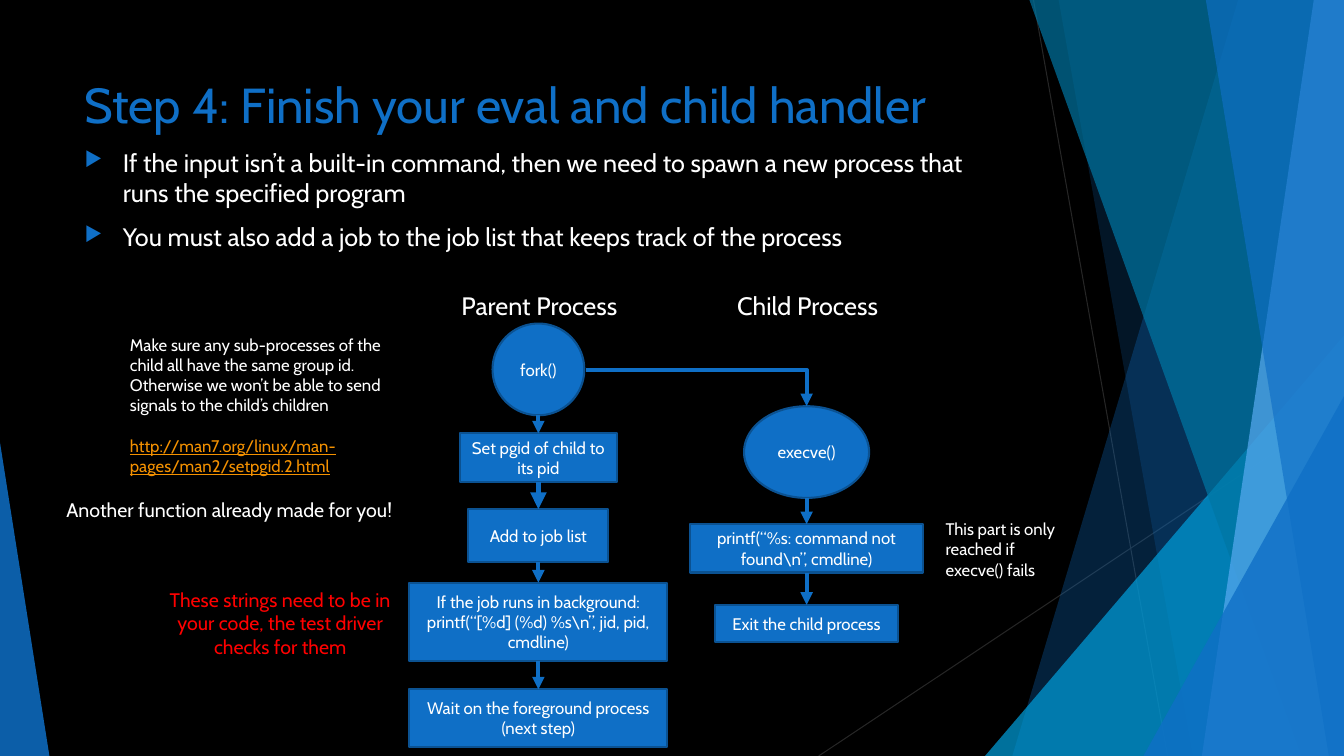
import dataclasses

import pptx
import pptx.dml.color
import pptx.enum.shapes
import pptx.enum.text
import pptx.oxml.ns
import pptx.util
from lxml import etree
from pptx.util import Inches

SHAPES = pptx.enum.shapes.MSO_SHAPE
CONNECTORS = pptx.enum.shapes.MSO_CONNECTOR
ALIGN = pptx.enum.text.PP_ALIGN
ANCHOR = pptx.enum.text.MSO_ANCHOR
WIDTH, HEIGHT = 13.33, 7.5
PARENT_X, CHILD_X = 5.34, 8.0


@dataclasses.dataclass(frozen=True)
class Theme:
    font: str = "Cabin"
    background: str = "000000"
    text: str = "FFFFFF"
    blue: str = "0F6FC6"
    outline: str = "0B5292"
    sky: str = "59AAF2"
    cyan: str = "009DD9"
    teal: str = "0076A3"
    hairline: str = "262626"
    link: str = "F49100"
    warning: str = "FF0000"
    title_size: float = 35.1
    body_size: float = 18
    remark_size: float = 14
    small_size: float = 12


THEME = Theme()

# Flowchart steps: text, shape, top, width, height
PARENT_STEPS = [
    ("fork()", SHAPES.OVAL, 3.21, 0.91, 0.91),
    ("Set pgid of child to its pid", SHAPES.RECTANGLE, 4.3, 1.56, 0.48),
    ("Add to job list", SHAPES.RECTANGLE, 5.05, 1.39, 0.53),
    ("If the job runs in background: printf(“[%d] (%d) %s\\n”, jid, pid, cmdline)",
     SHAPES.RECTANGLE, 5.78, 2.56, 0.78),
    ("Wait on the foreground process (next step)", SHAPES.RECTANGLE, 6.84, 2.56, 0.57),
]
CHILD_STEPS = [
    ("execve()", SHAPES.OVAL, 4.03, 1.24, 0.91),
    ("printf(“%s: command not found\\n”, cmdline)", SHAPES.RECTANGLE, 5.2, 2.31, 0.48),
    ("Exit the child process", SHAPES.RECTANGLE, 6.0, 1.82, 0.37),
]


def rgb(color):
    return pptx.dml.color.RGBColor.from_string(color)


def add_element(parent, tag, **attributes):
    return etree.SubElement(parent, pptx.oxml.ns.qn(tag), attributes)


def write_text(frame, text, size=THEME.small_size, color=THEME.text, align=ALIGN.LEFT,
               anchor=ANCHOR.TOP, bullet=False, underline=None, before=0):
    """Fill the frame's empty first paragraph, or append a new one."""
    frame.word_wrap = True
    frame.vertical_anchor = anchor
    paragraph = frame.paragraphs[0]
    if paragraph.runs:
        paragraph = frame.add_paragraph()
        paragraph.space_before = pptx.util.Pt(before)
    if bullet:
        properties = paragraph._p.get_or_add_pPr()
        properties.set("marL", str(Inches(0.38)))
        properties.set("indent", str(Inches(-0.38)))
        add_element(add_element(properties, "a:buClr"), "a:srgbClr", val=THEME.blue)
        add_element(properties, "a:buSzPct", val="80000")
        add_element(properties, "a:buChar", char="▶")
    paragraph.alignment = align
    run = paragraph.add_run()
    run.text = text
    run.font.name = THEME.font
    run.font.size = pptx.util.Pt(size)
    run.font.color.rgb = rgb(color)
    run.font.underline = underline


def add_text(slide, box, text, **text_format):
    frame = slide.shapes.add_textbox(*map(Inches, box)).text_frame
    write_text(frame, text, **text_format)
    return frame


def fill_facet(facet, color, opacity):
    facet.shadow.inherit = False
    facet.fill.solid()
    facet.fill.fore_color.rgb = rgb(color)
    facet.line.fill.background()
    color_node = facet._element.spPr.find(".//" + pptx.oxml.ns.qn("a:srgbClr"))
    add_element(color_node, "a:alpha", val=str(opacity * 1000))


def add_band(slide, top_x, bottom_x, color, opacity):
    """Band from a slanted left edge to the right edge of the slide."""
    builder = slide.shapes.build_freeform(Inches(top_x), 0)
    corners = [(WIDTH, 0), (WIDTH, HEIGHT), (bottom_x, HEIGHT)]
    builder.add_line_segments([(Inches(x), Inches(y)) for x, y in corners])
    fill_facet(builder.convert_to_shape(), color, opacity)


def add_corner(slide, left, top, width, tip, color, opacity):
    """Triangle that stands on the bottom edge of the slide."""
    box = map(Inches, (left, top, width, HEIGHT - top))
    corner = slide.shapes.add_shape(SHAPES.ISOSCELES_TRIANGLE, *box)
    corner.adjustments[0] = tip
    fill_facet(corner, color, opacity)


def add_line(slide, start, end, color=THEME.blue, weight=3, kind=CONNECTORS.STRAIGHT, arrow=True):
    line = slide.shapes.add_connector(kind, *map(Inches, (*start, *end)))
    line.line.color.rgb = rgb(color)
    line.line.width = pptx.util.Pt(weight)
    properties = line._element.spPr
    if arrow:
        add_element(line.line._get_or_add_ln(), "a:tailEnd", type="triangle")
    if kind == CONNECTORS.ELBOW:
        properties.find(pptx.oxml.ns.qn("a:prstGeom")).set("prst", "bentConnector2")
    add_element(properties, "a:effectLst")


def add_step(slide, center_x, text, kind, top, width, height):
    box = map(Inches, (center_x - width / 2, top, width, height))
    step = slide.shapes.add_shape(kind, *box)
    step.shadow.inherit = False
    step.fill.solid()
    step.fill.fore_color.rgb = rgb(THEME.blue)
    step.line.color.rgb = rgb(THEME.outline)
    step.line.width = pptx.util.Pt(1.5)
    write_text(step.text_frame, text, align=ALIGN.CENTER, anchor=ANCHOR.MIDDLE)


def add_process(slide, heading, center_x, steps, heading_x, heavy_arrow=None):
    add_text(slide, (heading_x - 1.02, 2.83, 2.04, 0.4), heading,
             size=THEME.body_size, align=ALIGN.CENTER)
    for step in steps:
        add_step(slide, center_x, *step)
    for index, (upper, lower) in enumerate(zip(steps, steps[1:])):
        add_line(slide, (center_x, upper[2] + upper[4]), (center_x, lower[2]),
                 weight=4 if index == heavy_arrow else 3)


def add_decoration(slide):
    for start, end in [((10.25, 0), (11.58, HEIGHT)), ((WIDTH, 4.03), (8.12, HEIGHT))]:
        add_line(slide, start, end, color=THEME.hairline, weight=0.75, arrow=False)
    add_band(slide, 12.28, 10.04, THEME.blue, 30)
    add_band(slide, 10.5, 11.83, THEME.blue, 20)
    add_corner(slide, 9.77, 3.33, 3.56, 1, THEME.cyan, 72)
    add_band(slide, 10.21, 12.91, THEME.teal, 70)
    add_band(slide, 13.03, 11.92, THEME.sky, 70)
    add_band(slide, 11.96, 13.18, THEME.blue, 65)
    add_corner(slide, 11.34, 3.93, 1.99, 1, THEME.blue, 80)
    add_corner(slide, 0, 4.39, 0.49, 0, THEME.blue, 85)


def add_notes_beside_flow(slide):
    group_note = add_text(
        slide, (1.19, 3.27, 2.88, 1.51),
        "Make sure any sub-processes of the child all have the same group id. "
        "Otherwise we won’t be able to send signals to the child’s children")
    write_text(group_note, "http://man7.org/linux/man-pages/man2/setpgid.2.html",
               color=THEME.link, underline=True, before=14.6)
    add_text(slide, (0.56, 4.89, 3.71, 0.34), "Another function already made for you!",
             size=THEME.remark_size)
    add_text(slide, (1.5, 5.78, 2.56, 0.81),
             "These strings need to be in your code, the test driver checks for them",
             size=THEME.remark_size, color=THEME.warning, align=ALIGN.CENTER)
    add_text(slide, (9.28, 5.1, 1.44, 0.71), "This part is only reached if execve() fails")


def main():
    deck = pptx.Presentation()
    deck.slide_width, deck.slide_height = Inches(WIDTH), Inches(HEIGHT)
    slide = deck.slides.add_slide(deck.slide_layouts[6])
    slide.background.fill.solid()
    slide.background.fill.fore_color.rgb = rgb(THEME.background)
    add_decoration(slide)

    # Title and bullets
    add_text(slide, (0.74, 0.66, 9.72, 0.75), "Step 4: Finish your eval and child handler",
             size=THEME.title_size, color=THEME.blue, anchor=ANCHOR.MIDDLE)
    bullet_format = {"size": THEME.body_size, "bullet": True}
    bullets = add_text(
        slide, (0.74, 1.41, 9.4, 1.26),
        "If the input isn’t a built-in command, then we need to spawn a new process "
        "that runs the specified program", **bullet_format)
    write_text(bullets, "You must also add a job to the job list that keeps track of the process",
               before=10, **bullet_format)

    # Flowchart, with the fork leading to the child
    add_process(slide, "Parent Process", PARENT_X, PARENT_STEPS, heading_x=5.35, heavy_arrow=1)
    add_process(slide, "Child Process", CHILD_X, CHILD_STEPS, heading_x=8.01)
    add_line(slide, (5.81, 3.67), (CHILD_X, 4.03), kind=CONNECTORS.ELBOW)
    add_notes_beside_flow(slide)
    deck.save("out.pptx")


if __name__ == "__main__":
    main()
